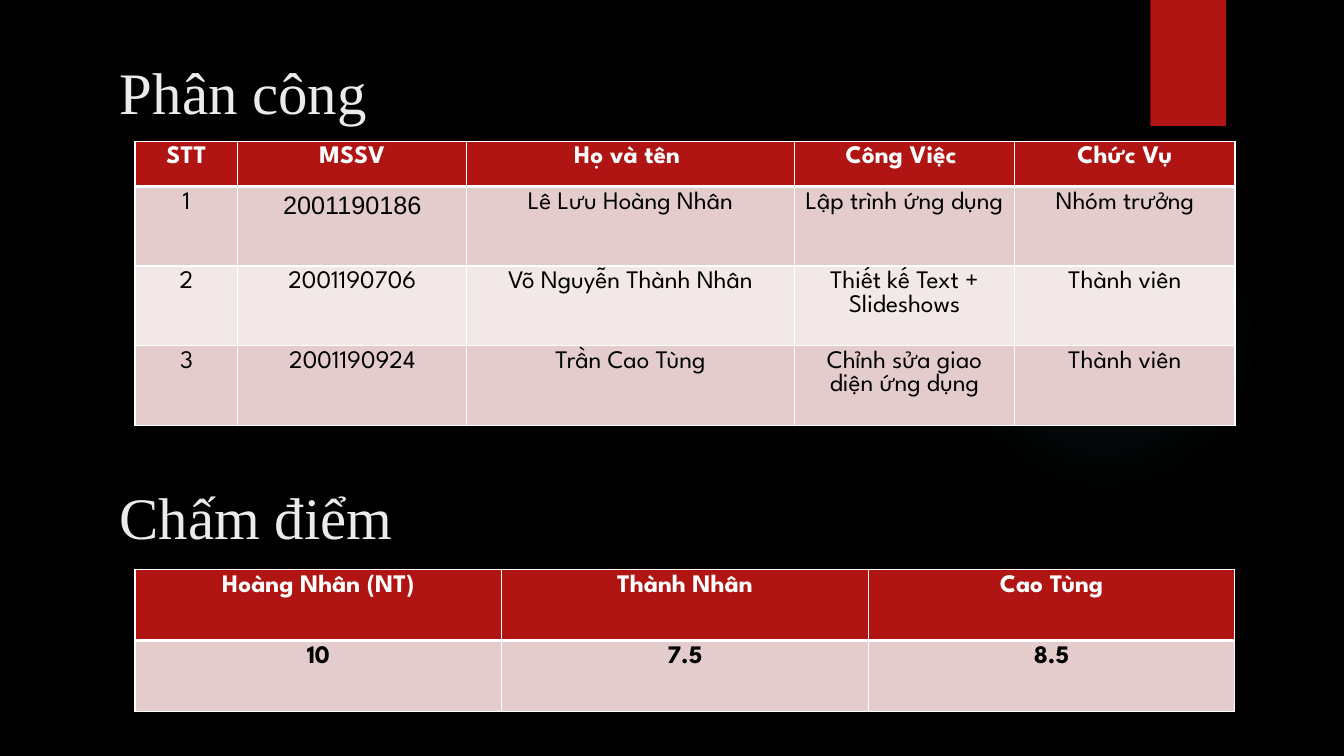
"""Build the slide that assigns the group's work and lists its scores."""
import dataclasses

import lxml.etree
import pptx
import pptx.dml.color
import pptx.enum.shapes
import pptx.enum.text
import pptx.oxml
import pptx.oxml.ns
import pptx.util

SLIDE_WIDTH = pptx.util.Inches(13.33)
SLIDE_HEIGHT = pptx.util.Inches(7.5)
COLUMN = SLIDE_WIDTH / 40
ROW = SLIDE_HEIGHT / 30

BLACK = "000000"
WHITE = "FFFFFF"
RED = "B01513"
HEADING_COLOUR = "EBEBEB"
GLOW_COLOUR = "50B9C1"
BAND_COLOURS = ("E4CCCC", "F2E8E7")
TABLE_FONT = "League Spartan"
HEADING_FONT = "Times New Roman"
LEADER_ID = "2001190186"


@dataclasses.dataclass(frozen=True)
class Area:
    """A rectangle in grid columns and rows."""

    left: float
    top: float
    width: float
    height: float

    def emu(self) -> tuple[int, int, int, int]:
        """Return left, top, width and height as slide lengths."""
        return (round(self.left * COLUMN), round(self.top * ROW),
                round(self.width * COLUMN), round(self.height * ROW))


@dataclasses.dataclass(frozen=True)
class Grid:
    """A table: its place, its column and row sizes and its wording."""

    left: float
    top: float
    widths: tuple[float, ...]
    heights: tuple[float, ...]
    rows: tuple[tuple[str, ...], ...]
    bold_body: bool = False


TITLE_AREA = Area(3.27, 1.76, 8.82, 3.24)
SCORES_HEADING_AREA = Area(3.27, 18.64, 9.78, 3.24)
GLOW_AREA = Area(28.24, 7.32, 9.24, 12.32)
RIBBON_AREA = Area(34.24, 0, 2.25, 5)

GRIDS = (
    Grid(4.02, 5.6, (3.06, 6.81, 9.75, 6.56, 6.56), (1.8, 3.16, 3.16, 3.16), (
        ("STT", "MSSV", "Họ và tên ", "Công Việc ", "Chức Vụ"),
        ("1", LEADER_ID, "Lê Lưu Hoàng Nhân", "Lập trình ứng dụng", "Nhóm trưởng"),
        ("2", "2001190706", "Võ Nguyễn Thành Nhân", "Thiết kế Text + Slideshows", "Thành viên"),
        ("3", "2001190924", "Trần Cao Tùng", "Chỉnh sửa giao diện ứng dụng", "Thành viên"),
    )),
    Grid(4.02, 22.6, (10.91,) * 3, (2.82,) * 2, (
        ("Hoàng Nhân (NT)", "Thành Nhân", "Cao Tùng"),
        ("10", "7.5", "8.5"),
    ), bold_body=True),
)


def colour(value: str) -> pptx.dml.color.RGBColor:
    """Turn a hex string into a colour."""
    return pptx.dml.color.RGBColor.from_string(value)


def paint(fill, value: str) -> None:
    """Give a fill one solid colour."""
    fill.solid()
    fill.fore_color.rgb = colour(value)


def write(frame, wording: str, font: str, size: float, value: str, bold: bool = False,
          align=pptx.enum.text.PP_ALIGN.LEFT) -> None:
    """Put one formatted paragraph into a text frame."""
    frame.text = wording
    paragraph = frame.paragraphs[0]
    paragraph.alignment = align
    paragraph.font.name = font
    paragraph.font.size = pptx.util.Pt(size)
    paragraph.font.bold = bold
    paragraph.font.color.rgb = colour(value)


def add_ornament(slide, kind, area: Area, value: str):
    """Add a plain shape without line or shadow."""
    ornament = slide.shapes.add_shape(kind, *area.emu())
    ornament.shadow.inherit = False
    ornament.line.fill.background()
    paint(ornament.fill, value)
    return ornament


def add_glow(slide) -> None:
    """Add the faint round glow that fades outwards."""
    glow = add_ornament(slide, pptx.enum.shapes.MSO_SHAPE.OVAL, GLOW_AREA, GLOW_COLOUR)
    stops = "".join(
        f'<a:gs pos="{place * 1000}"><a:srgbClr val="{GLOW_COLOUR}">'
        f'<a:alpha val="{alpha * 1000}"/></a:srgbClr></a:gs>'
        for place, alpha in ((0, 7), (36, 6), (69, 0), (100, 0)))
    gradient = pptx.oxml.parse_xml(
        f'<a:gradFill {pptx.oxml.ns.nsdecls("a")}><a:gsLst>{stops}</a:gsLst>'
        '<a:path path="circle"><a:fillToRect l="50000" t="50000" r="50000" b="50000"/>'
        '</a:path></a:gradFill>')
    properties = glow.element.spPr
    properties.replace(properties.find(pptx.oxml.ns.qn("a:solidFill")), gradient)


def set_heading(heading, area: Area, wording: str) -> None:
    """Place and format a section heading."""
    heading.left, heading.top, heading.width, heading.height = area.emu()
    frame = heading.text_frame
    frame.word_wrap = True
    frame.auto_size = pptx.enum.text.MSO_AUTO_SIZE.NONE
    frame.vertical_anchor = pptx.enum.text.MSO_ANCHOR.TOP
    frame.margin_top = pptx.util.Pt(8)
    frame.margin_bottom = 0
    write(frame, wording, HEADING_FONT, 42, HEADING_COLOUR)


def set_borders(cell, top: float, bottom: float) -> None:
    """Draw white cell borders, with top and bottom widths in points."""
    properties = cell._tc.get_or_add_tcPr()
    sides = (("lnL", 1), ("lnR", 1), ("lnT", top), ("lnB", bottom))
    for position, (side, width) in enumerate(sides):
        border = lxml.etree.Element(pptx.oxml.ns.qn(f"a:{side}"), w=str(pptx.util.Pt(width)))
        solid = lxml.etree.SubElement(border, pptx.oxml.ns.qn("a:solidFill"))
        lxml.etree.SubElement(solid, pptx.oxml.ns.qn("a:srgbClr"), val=WHITE)
        properties.insert(position, border)


def add_grid(slide, grid: Grid) -> None:
    """Add a table with a red header and tinted body rows."""
    area = Area(grid.left, grid.top, sum(grid.widths), sum(grid.heights))
    table = slide.shapes.add_table(len(grid.heights), len(grid.widths), *area.emu()).table
    for column, width in zip(table.columns, grid.widths):
        column.width = round(width * COLUMN)
    for row, height in zip(table.rows, grid.heights):
        row.height = round(height * ROW)
    for row_number, wordings in enumerate(grid.rows):
        header = row_number == 0
        for column_number, wording in enumerate(wordings):
            cell = table.cell(row_number, column_number)
            paint(cell.fill, RED if header else BAND_COLOURS[(row_number - 1) % 2])
            set_borders(cell, 3 if row_number == 1 else 1, 3 if header else 1)
            write(cell.text_frame, wording, "Arial" if wording == LEADER_ID else TABLE_FONT,
                  18, WHITE if header else BLACK, header or grid.bold_body,
                  pptx.enum.text.PP_ALIGN.CENTER)


def main() -> None:
    """Build and save the slide."""
    presentation = pptx.Presentation()
    presentation.slide_width = SLIDE_WIDTH
    presentation.slide_height = SLIDE_HEIGHT
    slide = presentation.slides.add_slide(presentation.slide_layouts[5])
    paint(slide.background.fill, BLACK)
    add_glow(slide)
    add_ornament(slide, pptx.enum.shapes.MSO_SHAPE.RECTANGLE, RIBBON_AREA, RED)
    set_heading(slide.shapes.title, TITLE_AREA, "Phân công ")
    scores_heading = slide.shapes.add_textbox(*SCORES_HEADING_AREA.emu())
    set_heading(scores_heading, SCORES_HEADING_AREA, "Chấm điểm ")
    for grid in GRIDS:
        add_grid(slide, grid)
    presentation.save("out.pptx")


if __name__ == "__main__":
    main()
